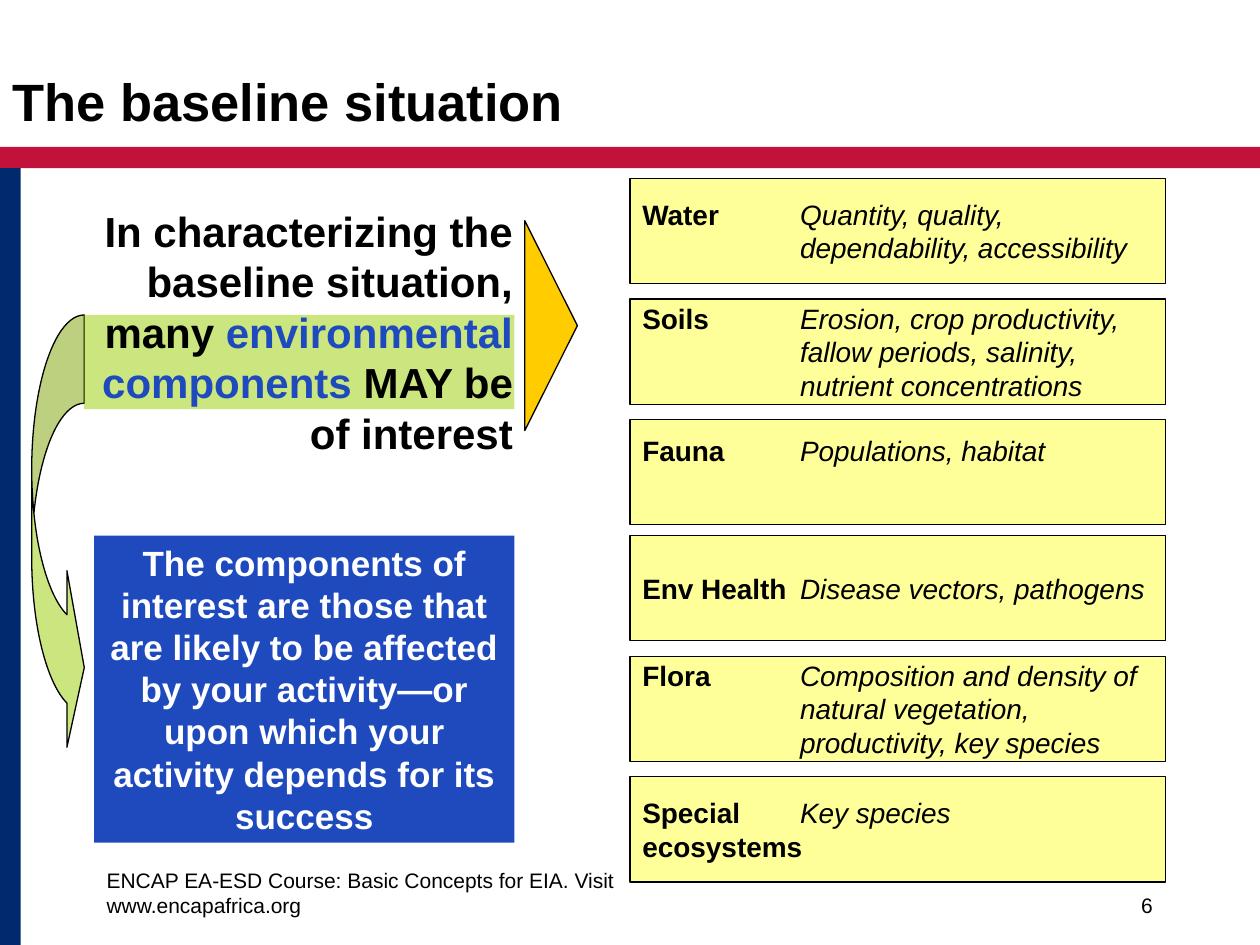
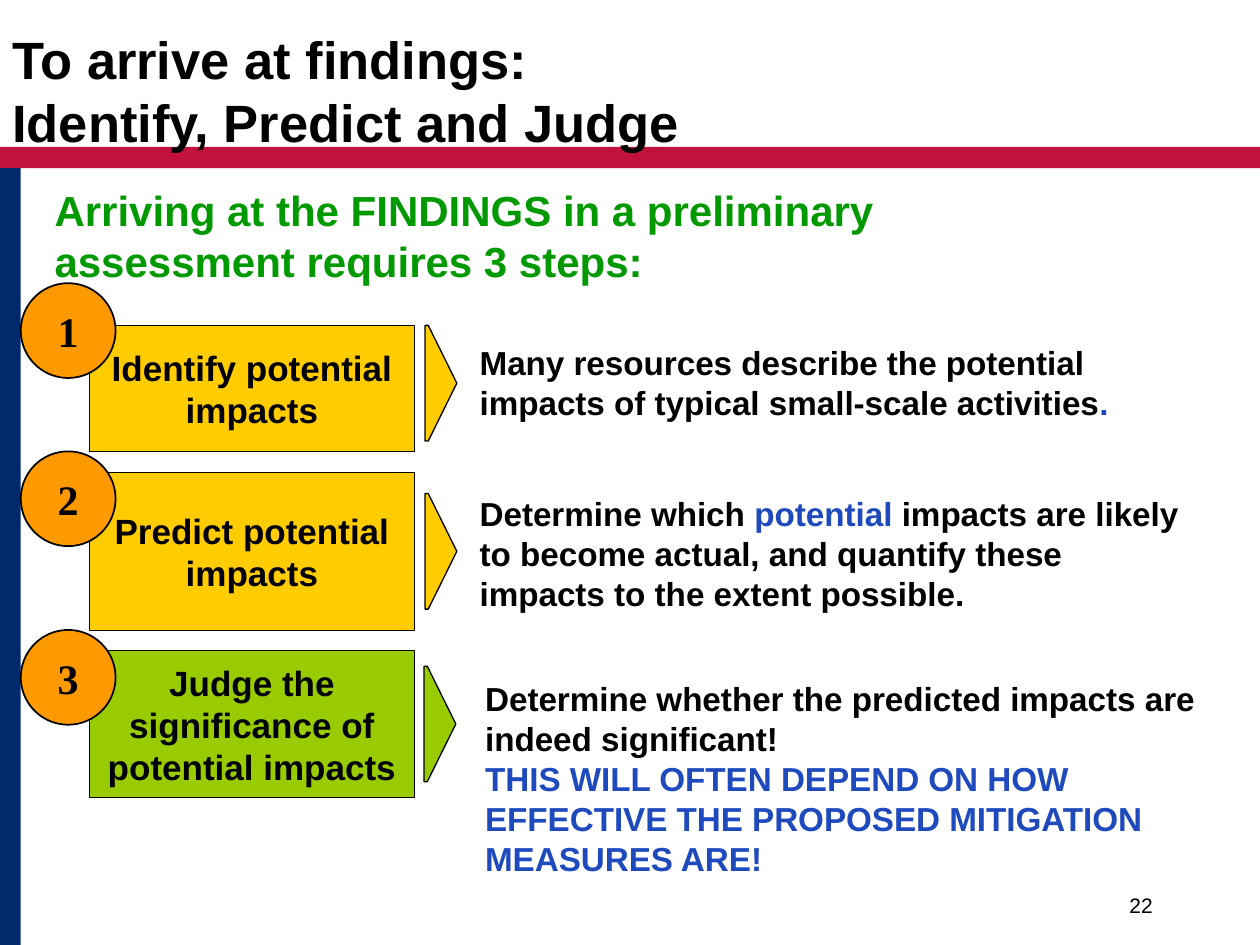
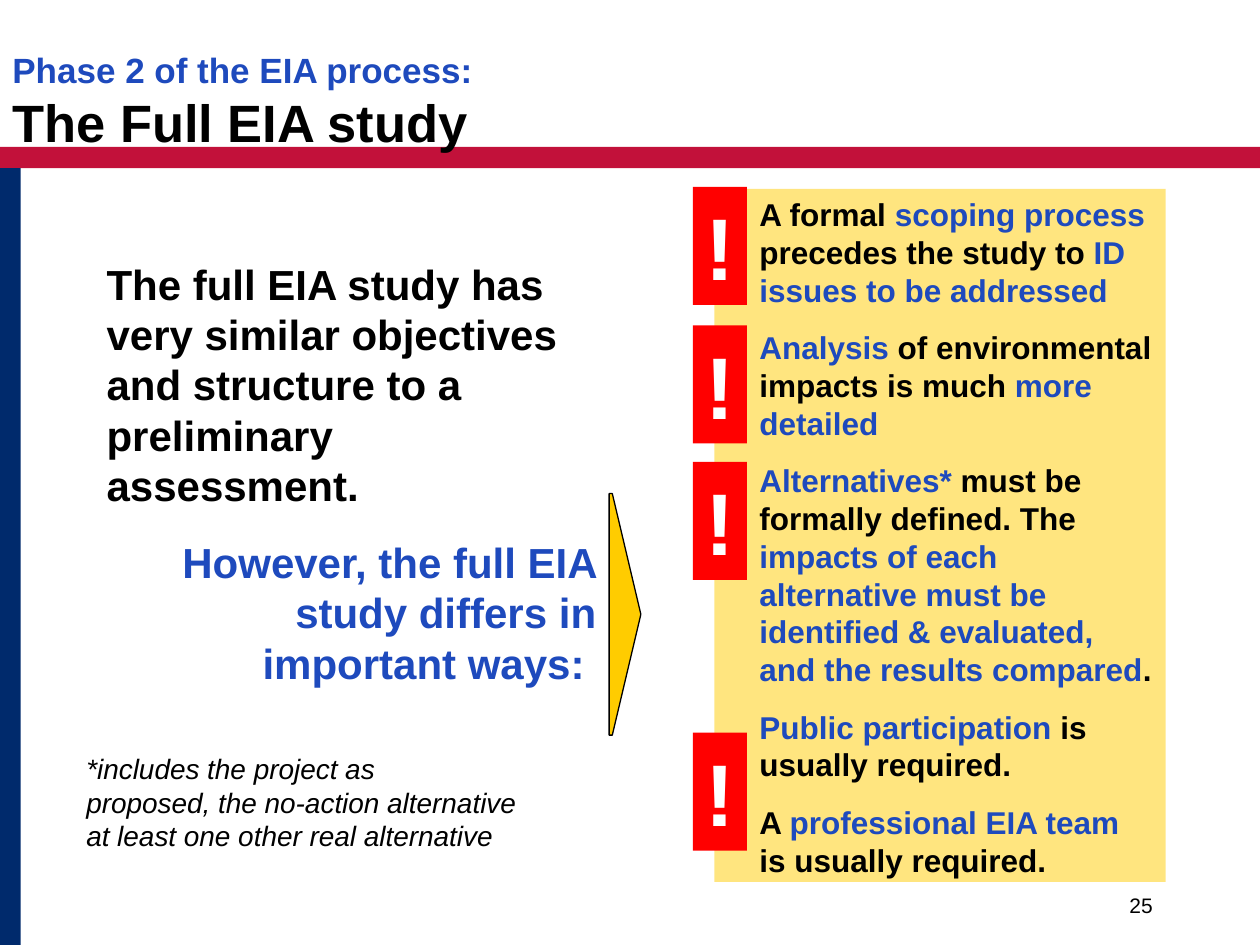
from dataclasses import dataclass

from lxml.etree import SubElement
from pptx import Presentation
from pptx.dml.color import RGBColor
from pptx.enum.shapes import MSO_SHAPE as Preset
from pptx.enum.text import MSO_ANCHOR as Anchor, PP_ALIGN as Align
from pptx.oxml.ns import qn
from pptx.util import Cm, Pt


@dataclass(frozen=True)
class Theme:
    black: str = "000000"
    white: str = "FFFFFF"
    crimson: str = "C2113A"
    navy: str = "002A6C"
    blue: str = "1E4ABD"
    green: str = "009900"
    lime: str = "99CC00"
    gold: str = "FFCC00"
    orange: str = "FF9900"
    pale_yellow: str = "FFFF99"
    red: str = "FF0000"
    font: str = "Arial"
    number_font: str = "Times New Roman"
    title: int = 30
    lead: int = 24
    box: int = 20
    detail: int = 19
    panel: int = 18
    note: int = 16
    footer: int = 12
    alert: int = 50
    outline: float = 0.75


THEME = Theme()


@dataclass(frozen=True)
class Span:
    text: str
    color: str = THEME.black
    bold: bool = True
    italic: bool = False
    size: int = 0


def blue(text):
    return Span(text, THEME.blue)


@dataclass(frozen=True)
class Step:
    label: str
    color: str
    top: float
    height: float
    badge_top: float
    arrow_left: float
    arrow_top: float
    detail_left: float
    detail_top: float
    detail: list


def add_spans(paragraph, spans, size, font=THEME.font):
    for span in spans:
        for number, line in enumerate(span.text.split("\n")):
            if number:
                paragraph.add_line_break()
            if not line:
                continue
            run = paragraph.add_run()
            run.text = line
            run.font.name = font
            run.font.size = Pt(span.size or size)
            run.font.bold = span.bold
            run.font.italic = span.italic
            run.font.color.rgb = RGBColor.from_string(span.color)


def write(shape, paragraphs, size, aligns=(Align.LEFT,), anchor=Anchor.TOP,
          font=THEME.font, gap=0):
    """Fill a shape with paragraphs of spans; the last alignment repeats."""
    frame = shape.text_frame
    frame.word_wrap = True
    frame.vertical_anchor = anchor
    for index, spans in enumerate(paragraphs):
        paragraph = frame.add_paragraph() if index else frame.paragraphs[0]
        paragraph.alignment = aligns[min(index, len(aligns) - 1)]
        if index and gap:
            paragraph.space_before = Pt(gap)
        add_spans(paragraph, spans, size, font)
    return frame


def add_text(slide, place, paragraphs, size, **style):
    box = slide.shapes.add_textbox(*map(Cm, place))
    return write(box, paragraphs, size, **style)


def add_block(slide, preset, place, fill, outline=0, opacity=100):
    block = slide.shapes.add_shape(preset, *map(Cm, place))
    block.shadow.inherit = False
    block.fill.solid()
    block.fill.fore_color.rgb = RGBColor.from_string(fill)
    if opacity < 100:
        color = block.element.xpath("./p:spPr/a:solidFill/a:srgbClr")[0]
        SubElement(color, qn("a:alpha")).set("val", str(opacity * 1000))
    if outline:
        block.line.color.rgb = RGBColor.from_string(THEME.black)
        block.line.width = Pt(outline)
    else:
        block.line.fill.background()
    return block


def add_pointer(slide, place, fill, head=0.9):
    pointer = add_block(slide, Preset.PENTAGON, place, fill, THEME.outline)
    pointer.adjustments[0] = head


def set_indent(paragraph, left, first=0):
    properties = paragraph._p.get_or_add_pPr()
    properties.set("marL", str(Cm(left)))
    properties.set("indent", str(Cm(first)))


def set_tab(paragraph, position):
    tabs = SubElement(paragraph._p.get_or_add_pPr(), qn("a:tabLst"))
    SubElement(tabs, qn("a:tab"), pos=str(Cm(position)), algn="l")


def start_slide(deck, title, title_top, page):
    """Add a slide with the bands, title and page number."""
    slide = deck.slides.add_slide(deck.slide_layouts[6])
    add_block(slide, Preset.RECTANGLE, (0, 2.96, 25.4, 0.43), THEME.crimson)
    add_block(slide, Preset.RECTANGLE, (0, 3.39, 0.42, 15.66), THEME.navy)
    add_text(slide, (18.2, 17.36, 5.29, 1.27), [[Span(page, bold=False)]],
             THEME.footer, aligns=(Align.RIGHT,), anchor=Anchor.BOTTOM)
    add_text(slide, (0, title_top, 21.59, 1.69), [title], THEME.title)
    return slide


def add_component(slide, index, name, examples, rest="", bottom=0.13):
    """Add one row: a bold name, then examples in a second column."""
    group, row = divmod(index, 3)
    column = 3.18
    block = add_block(slide, Preset.RECTANGLE,
                      (12.7, 3.6 + 7.2 * group + 2.43 * row, 10.8, 2.12),
                      THEME.pale_yellow, THEME.outline)
    paragraph = block.text_frame.paragraphs[0]
    if rest:
        set_tab(paragraph, column)
    else:
        set_indent(paragraph, column, -column)
    spans = [Span(name + "\t"), Span(examples, bold=False, italic=True)]
    if rest:
        spans.append(Span("\n" + rest))
    frame = write(block, [spans], THEME.note, anchor=Anchor.MIDDLE)
    frame.margin_bottom = Cm(bottom)


def add_step(slide, number, step):
    box = add_block(slide, Preset.RECTANGLE, (1.8, step.top, 6.56, step.height),
                    step.color, THEME.outline)
    write(box, [[Span(step.label)]], THEME.box,
          aligns=(Align.CENTER,), anchor=Anchor.MIDDLE)
    badge = add_block(slide, Preset.OVAL, (0.42, step.badge_top, 1.91, 1.91),
                      THEME.orange, 1)
    write(badge, [[Span(str(number))]], THEME.lead, aligns=(Align.CENTER,),
          anchor=Anchor.MIDDLE, font=THEME.number_font)
    add_pointer(slide, (step.arrow_left, step.arrow_top, 0.64, 2.33), step.color)
    add_text(slide, (step.detail_left, step.detail_top, 14.94, 2.5),
             step.detail, THEME.detail)


def add_alert(slide, top):
    alert = add_block(slide, Preset.RECTANGLE, (13.97, top, 1.09, 2.38), THEME.red)
    write(alert, [[Span("!", THEME.white)]], THEME.alert)


def build_baseline(deck):
    slide = start_slide(deck, [Span("The baseline situation")], 1.27, "6")
    add_text(slide, (1.9, 17.36, 12.7, 1.27),
             [[Span("ENCAP EA-ESD Course: Basic Concepts for EIA. Visit "
                    "www.encapafrica.org", bold=False)]],
             THEME.footer, anchor=Anchor.BOTTOM)

    sweep = add_block(slide, Preset.CURVED_RIGHT_ARROW, (0.64, 6.35, 1.06, 8.89),
                      THEME.lime, THEME.outline, opacity=50)
    for index, ratio in enumerate((1.68, 3.36, 0.33)):
        sweep.adjustments[index] = ratio
    add_block(slide, Preset.RECTANGLE, (1.69, 6.35, 8.68, 1.9), THEME.lime, opacity=50)

    add_text(slide, (1.65, 4.02, 8.94, 5.33),
             [[Span("In characterizing the baseline situation, many "),
               blue("environmental components"), Span(" MAY be of interest")]],
             THEME.lead, aligns=(Align.RIGHT,))
    add_pointer(slide, (10.58, 4.45, 1.06, 4.23), THEME.gold, head=1)

    components = [
        dict(name="Water", examples="Quantity, quality, dependability, accessibility"),
        dict(name="Soils", examples="Erosion, crop productivity, fallow periods, "
                                    "salinity, nutrient concentrations"),
        dict(name="Fauna", examples="Populations, habitat", bottom=1),
        dict(name="Env Health", examples="Disease vectors, pathogens"),
        dict(name="Flora", examples="Composition and density of natural vegetation, "
                                    "productivity, key species"),
        dict(name="Special", examples="Key species", rest="ecosystems"),
    ]
    for index, component in enumerate(components):
        add_component(slide, index, **component)

    conclusion = add_block(slide, Preset.RECTANGLE, (1.9, 10.8, 8.47, 6.19), THEME.blue)
    write(conclusion,
          [[Span("The components of interest are those that are likely to be "
                 "affected by your activity—or upon which your activity depends "
                 "for its success", THEME.white)]],
          THEME.box, aligns=(Align.CENTER,))


def build_findings(deck):
    slide = start_slide(
        deck, [Span("To arrive at findings:\nIdentify, Predict and Judge")], 0.42, "22")
    add_text(slide, (0.85, 3.6, 18.63, 1.27),
             [[Span("Arriving at the FINDINGS in a preliminary assessment "
                    "requires 3 steps:", THEME.green)]], THEME.lead)
    steps = [
        Step("Identify potential impacts", THEME.gold, 6.56, 2.54, 5.71,
             8.57, 6.56, 9.42, 6.77,
             [[Span("Many resources describe the potential impacts of typical "
                    "small-scale activities"), blue(".")]]),
        Step("Predict potential impacts", THEME.gold, 9.53, 3.18, 9.1,
             8.57, 9.95, 9.42, 9.82,
             [[Span("Determine which "), blue("potential"),
               Span(" impacts are likely to become actual, and quantify these "
                    "impacts to the extent possible.")]]),
        Step("Judge the significance of potential impacts", THEME.lime,
             13.12, 2.96, 12.7, 8.55, 13.43, 9.53, 13.55,
             [[Span("Determine whether the predicted impacts are indeed significant!")],
              [blue("THIS WILL OFTEN DEPEND ON HOW EFFECTIVE THE PROPOSED "
                    "MITIGATION MEASURES ARE!")]]),
    ]
    for number, step in enumerate(steps, start=1):
        add_step(slide, number, step)


def build_full_study(deck):
    title = [Span("Phase 2 of the EIA process:\n", THEME.blue, size=THEME.box),
             Span("The Full EIA study")]
    slide = start_slide(deck, title, 0.85, "25")
    add_text(slide, (1.9, 5.08, 10.37, 10.8),
             [[Span("The full EIA study has very similar objectives and structure "
                    "to a preliminary assessment.")],
              [blue("However, the full EIA study differs in important ways: ")]],
             THEME.lead, aligns=(Align.LEFT, Align.RIGHT), gap=15)
    add_pointer(slide, (12.28, 9.95, 0.64, 4.87), THEME.gold)

    differences = [
        [Span("A formal "), blue("scoping process "), Span("precedes the study to"),
         blue(" ID issues to be addressed")],
        [blue("Analysis"), Span(" of environmental impacts is much "),
         blue("more detailed")],
        [blue("Alternatives*"), Span(" must be formally defined. The "),
         blue("impacts of each alternative must be identified & evaluated, "
              "and the results compared"), Span(".")],
        [blue("Public participation"), Span(" is usually required.")],
        [Span("A "), blue("professional EIA team"), Span(" is usually required.")],
    ]
    panel = add_block(slide, Preset.RECTANGLE, (14.4, 3.81, 9.1, 13.97),
                      THEME.gold, opacity=50)
    frame = write(panel, differences, THEME.panel, gap=11.2)
    for paragraph in frame.paragraphs:
        set_indent(paragraph, 0.66)
    for top in (3.77, 6.56, 9.31, 14.77):
        add_alert(slide, top)

    add_text(slide, (1.49, 15.03, 9.4, 2.29),
             [[Span("*includes the project as\nproposed, the no-action alternative\n"
                    "at least one other real alternative", bold=False, italic=True)]],
             THEME.note)


def main():
    deck = Presentation()
    deck.slide_width, deck.slide_height = Cm(25.4), Cm(19.05)
    build_baseline(deck)
    build_findings(deck)
    build_full_study(deck)
    deck.save("out.pptx")


if __name__ == "__main__":
    main()
